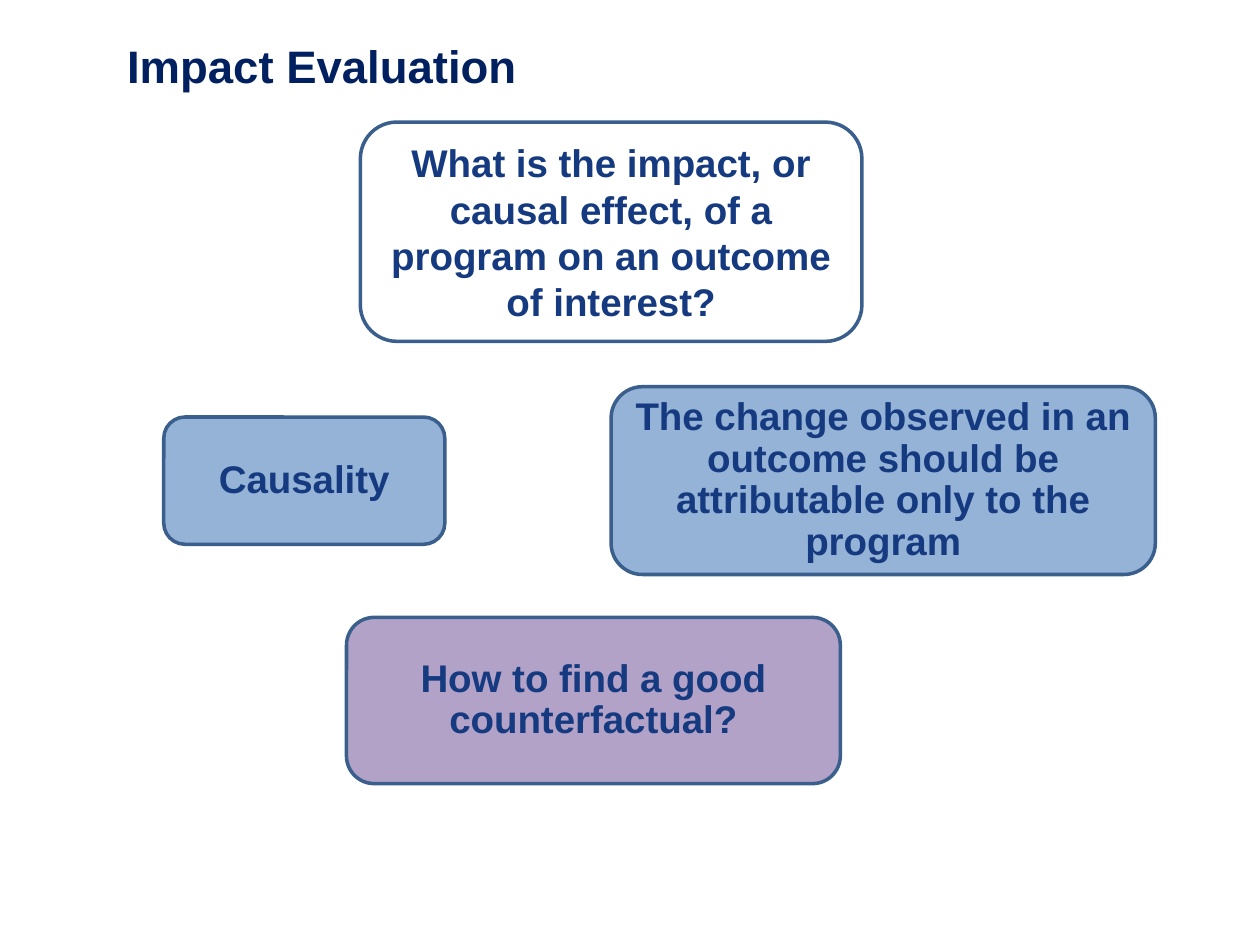
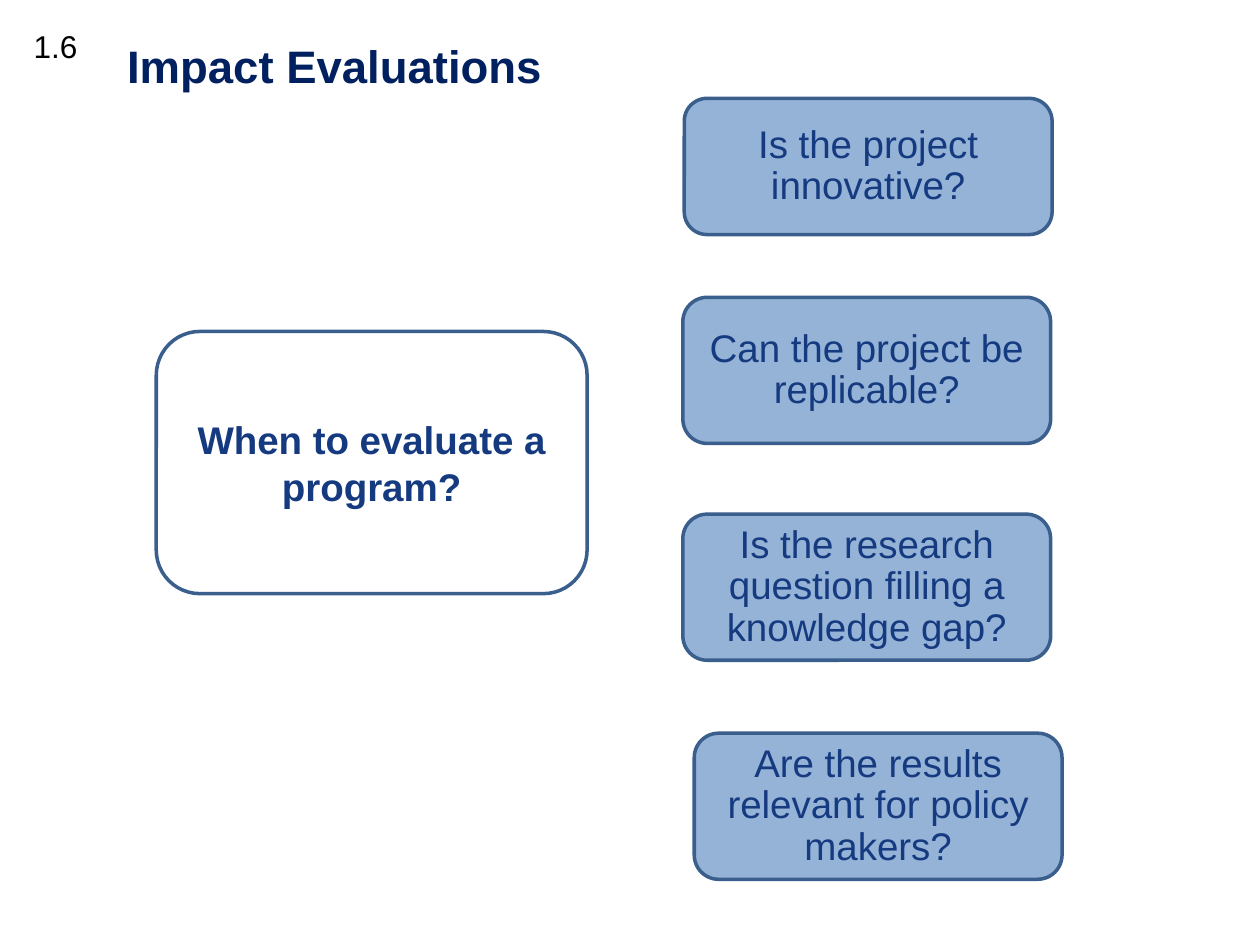
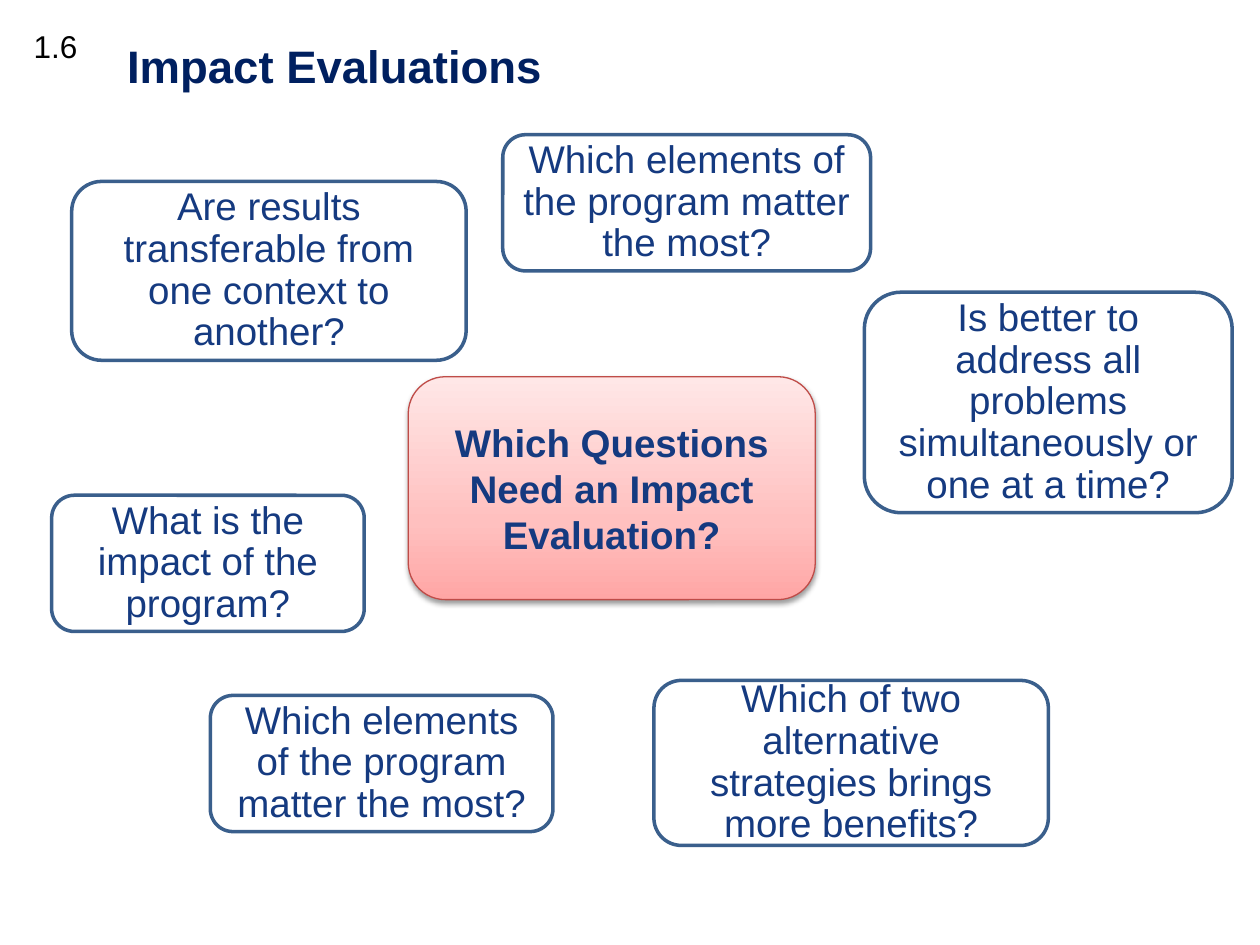
from pptx import Presentation
from pptx.dml.color import RGBColor
from pptx.enum.shapes import MSO_SHAPE
from pptx.enum.text import MSO_ANCHOR, MSO_AUTO_SIZE, PP_ALIGN
from pptx.oxml import parse_xml
from pptx.oxml.ns import nsdecls, qn
from pptx.util import Pt

ROUNDED = MSO_SHAPE.ROUNDED_RECTANGLE
MIDDLE = MSO_ANCHOR.MIDDLE
CENTER = PP_ALIGN.CENTER
GROW = MSO_AUTO_SIZE.SHAPE_TO_FIT_TEXT

FONT = "Arial"
TITLE_NAVY = RGBColor(0x00, 0x20, 0x60)
TEXT_BLUE = RGBColor(0x15, 0x3A, 0x80)
OUTLINE_BLUE = RGBColor(0x3A, 0x5F, 0x8C)
OUTLINE_RED = RGBColor(0xBF, 0x4C, 0x48)
PALE_BLUE = RGBColor(0x95, 0xB3, 0xD7)
PALE_PURPLE = RGBColor(0xB3, 0xA2, 0xC7)
BLACK = RGBColor(0x00, 0x00, 0x00)
ROSE_STOPS = [(0, "FFA6A5"), (35, "FFC0BF"), (100, "FFE7E7")]


def write_text(box, text, size, color, bold=False):
    """Put one wrapped paragraph in a box and return it."""
    box.text_frame.word_wrap = True
    para = box.text_frame.paragraphs[0]
    para.text = text
    font = para.runs[0].font
    font.name, font.size, font.bold = FONT, Pt(size), bold
    font.color.rgb = color
    return para


def add_title(page, text, height=104.4):
    """Add the slide title."""
    box = page.shapes.add_textbox(Pt(65.5), Pt(21.6), Pt(620.6), Pt(height))
    write_text(box, text, 26, TITLE_NAVY, bold=True).line_spacing = 0.9


def add_section_number(page, text):
    """Add the section number in the top left corner."""
    box = page.shapes.add_textbox(Pt(12.2), Pt(12.2), Pt(46.8), Pt(28.8))
    write_text(box, text, 18, BLACK)
    box.text_frame.auto_size = GROW


def add_card(page, place, text, fill=None, bold=False):
    """Add a rounded card with centred text and return it."""
    card = page.shapes.add_shape(ROUNDED, *map(Pt, place))
    card.shadow.inherit = False
    if fill is None:
        card.fill.background()
    else:
        card.fill.solid()
        card.fill.fore_color.rgb = fill
    card.line.color.rgb = OUTLINE_BLUE
    card.line.width = Pt(2)
    card.text_frame.vertical_anchor = MIDDLE
    para = write_text(card, text, 22, TEXT_BLUE, bold)
    para.alignment = CENTER
    para.line_spacing = 0.9
    para.space_before = Pt(10)
    return card


def add_key_question(page, place, text):
    """Add the bold leading question of a slide and return its card."""
    card = add_card(page, place, text, bold=True)
    para = card.text_frame.paragraphs[0]
    para.line_spacing = 1.0
    para.space_before = Pt(4.4)
    return card


def highlight(card):
    """Give a card a rose gradient, a thin red outline and a soft shadow."""
    stops = "".join(
        f'<a:gs pos="{position * 1000}"><a:srgbClr val="{color}"/></a:gs>'
        for position, color in ROSE_STOPS
    )
    gradient = parse_xml(
        f'<a:gradFill {nsdecls("a")} rotWithShape="1"><a:gsLst>{stops}</a:gsLst>'
        '<a:lin ang="16200000" scaled="0"/></a:gradFill>'
    )
    shadow = parse_xml(
        f'<a:outerShdw {nsdecls("a")} blurRad="{Pt(3.1)}" dist="{Pt(1.6)}" '
        'dir="5400000" rotWithShape="0"><a:srgbClr val="000000">'
        '<a:alpha val="38000"/></a:srgbClr></a:outerShdw>'
    )
    properties = card._element.spPr
    properties.replace(properties.find(qn("a:noFill")), gradient)
    properties.find(qn("a:effectLst")).append(shadow)
    card.line.color.rgb = OUTLINE_RED
    card.line.width = Pt(0.75)


def build_causality(page):
    """Build the slide on impact and causality."""
    add_title(page, "Impact Evaluation", 47.5)
    add_key_question(
        page, (205.9, 69.8, 286.6, 125.3),
        "What is the impact, or causal effect, of a program on an outcome of interest?",
    )
    for place, text, fill in [
        ((93.6, 238.3, 160.6, 72.7), "Causality", PALE_BLUE),
        ((349.2, 221, 311, 107.3),
         "The change observed in an outcome should be attributable only to the program",
         PALE_BLUE),
        ((198, 352.8, 282.2, 95), "How to find a good counterfactual?", PALE_PURPLE),
    ]:
        add_card(page, place, text, fill, bold=True)


def build_when_to_evaluate(page):
    """Build the slide on when to evaluate a program."""
    add_title(page, "Impact Evaluations")
    add_key_question(page, (89.3, 189.4, 246.2, 149.8), "When to evaluate a program?")
    for left, top, height, text in [
        (391, 56.2, 77.8, "Is the project innovative?"),
        (390.2, 169.9, 83.5, "Can the project be replicable?"),
        (390.2, 293.8, 83.5, "Is the research question filling a knowledge gap?"),
        (396.7, 419, 83.5, "Are the results relevant for policy makers?"),
    ]:
        add_card(page, (left, top, 210.2, height), text, PALE_BLUE)
    add_section_number(page, "1.6")


def build_which_questions(page):
    """Build the slide on questions that need an evaluation."""
    add_title(page, "Impact Evaluations")
    highlight(add_key_question(
        page, (233.3, 215.3, 232.6, 127.4),
        "Which Questions Need an Impact Evaluation?",
    ))
    elements = "Which elements of the program matter the most?"
    for place, text in [
        ((29.5, 283, 178.6, 77.8), "What is the impact of the program?"),
        ((120.2, 397.4, 195.8, 77.8), elements),
        ((373.7, 388.8, 225.4, 94.3),
         "Which of two alternative strategies brings more benefits?"),
        ((287.3, 77, 210.2, 77.8), elements),
        ((41, 103.7, 225.4, 102.2),
         "Are results transferable from one context to another?"),
        ((493.9, 167, 210.2, 126),
         "Is better to address all problems simultaneously or one at a time?"),
    ]:
        add_card(page, place, text)
    add_section_number(page, "1.6")


def main():
    """Build and save the deck."""
    deck = Presentation()
    deck.slide_width, deck.slide_height = Pt(720), Pt(540)
    blank = deck.slide_layouts[6]
    for build in (build_causality, build_when_to_evaluate, build_which_questions):
        build(deck.slides.add_slide(blank))
    deck.save("out.pptx")


if __name__ == "__main__":
    main()
